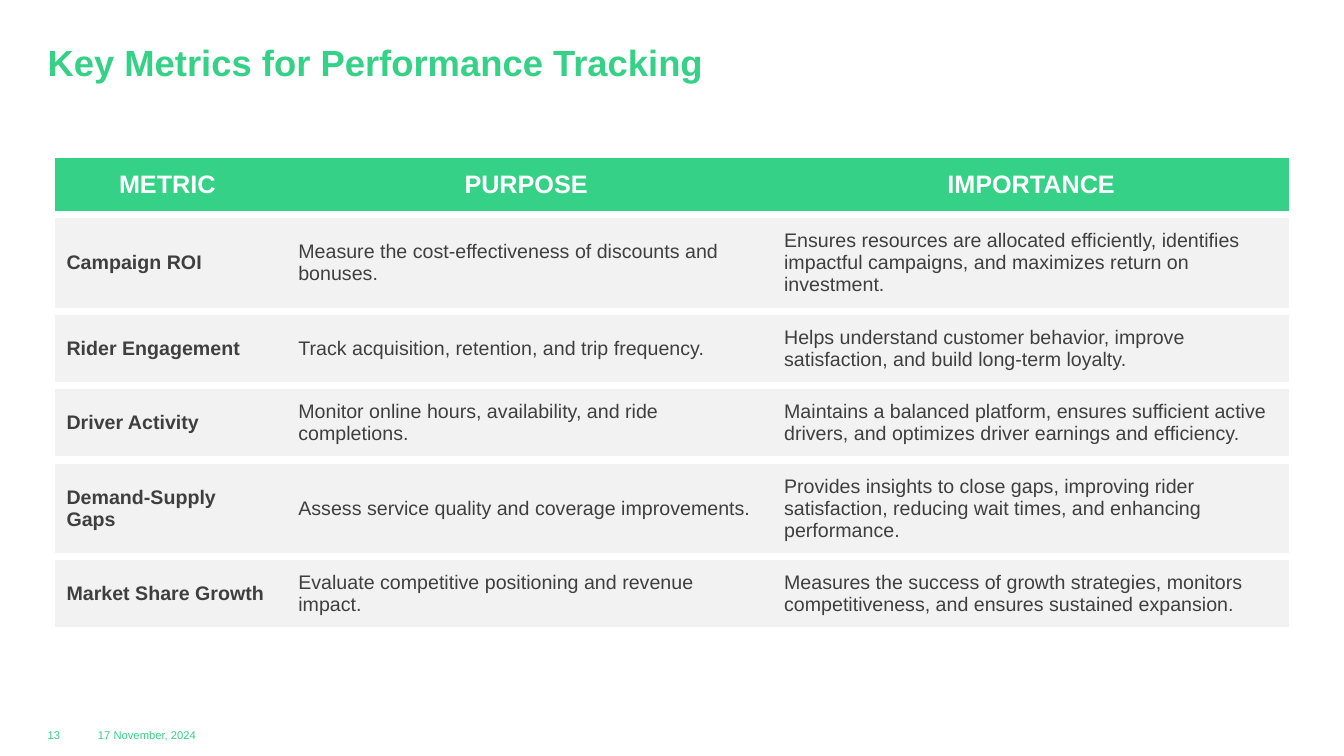
import dataclasses

import lxml.etree
import pptx
import pptx.dml.color
import pptx.enum.text
import pptx.oxml.ns
import pptx.util

Pt = pptx.util.Pt
Align = pptx.enum.text.PP_ALIGN
Anchor = pptx.enum.text.MSO_ANCHOR


@dataclasses.dataclass(frozen=True)
class Theme:
    """Colours, font and type sizes of the slide."""

    green: str = "34D186"
    gray: str = "F2F2F2"
    ink: str = "3F3F3F"
    white: str = "FFFFFF"
    font: str = "Arial"
    title: int = 26
    head: int = 18
    body: int = 14
    small: int = 8


THEME = Theme()
WIDTHS = (165.6, 347, 374.4)
HEIGHTS = (43.2, 69, 53, 53, 69, 53)
GAP = 6
INSET = 10.8
ROWS = (
    ("METRIC", "PURPOSE", "IMPORTANCE"),
    ("Campaign ROI",
     "Measure the cost-effectiveness of discounts and bonuses.",
     "Ensures resources are allocated efficiently, identifies impactful "
     "campaigns, and maximizes return on investment."),
    ("Rider Engagement",
     "Track acquisition, retention, and trip frequency.",
     "Helps understand customer behavior, improve satisfaction, and build "
     "long-term loyalty."),
    ("Driver Activity",
     "Monitor online hours, availability, and ride completions.",
     "Maintains a balanced platform, ensures sufficient active drivers, and "
     "optimizes driver earnings and efficiency."),
    ("Demand-Supply Gaps",
     "Assess service quality and coverage improvements.",
     "Provides insights to close gaps, improving rider satisfaction, reducing "
     "wait times, and enhancing performance."),
    ("Market Share Growth",
     "Evaluate competitive positioning and revenue impact.",
     "Measures the success of growth strategies, monitors competitiveness, "
     "and ensures sustained expansion."),
)


def paint(code):
    """Turn a hex code into a colour."""
    return pptx.dml.color.RGBColor.from_string(code)


def write(frame, text, size, color, bold=False, align=Align.LEFT):
    """Fill a text frame with one styled paragraph."""
    frame.text = text
    frame.word_wrap = True
    para = frame.paragraphs[0]
    para.alignment = align
    font = para.runs[0].font
    font.name, font.size, font.bold = THEME.font, Pt(size), bold
    font.color.rgb = paint(color)
    return para


def clear(frame, anchor):
    """Remove the insets of a frame and anchor its text."""
    frame.margin_left = frame.margin_right = 0
    frame.margin_top = frame.margin_bottom = 0
    frame.vertical_anchor = anchor
    frame.auto_size = pptx.enum.text.MSO_AUTO_SIZE.NONE


def place(shape, box):
    """Move a shape to a box of left, top, width and height."""
    shape.left, shape.top, shape.width, shape.height = map(Pt, box)


def edge(cell, sides):
    """Draw white gaps on the given sides and no line on the others."""
    props = cell._tc.get_or_add_tcPr()
    name = pptx.oxml.ns.qn
    for side in "LRTB":
        line = lxml.etree.SubElement(props, name(f"a:ln{side}"))
        if side in sides:
            line.set("w", str(Pt(GAP)))
            fill = lxml.etree.SubElement(line, name("a:solidFill"))
            tone = lxml.etree.SubElement(fill, name("a:srgbClr"))
            tone.set("val", THEME.white)
        else:
            lxml.etree.SubElement(line, name("a:noFill"))


def add_title(slide, box):
    """Set the slide title in its placeholder."""
    title = slide.shapes.title
    place(title, box)
    clear(title.text_frame, Anchor.TOP)
    para = write(title.text_frame, "Key Metrics for Performance Tracking",
                 THEME.title, THEME.green, True)
    para.line_spacing = 0.83


def add_grid(slide, box):
    """Build the table of metrics."""
    shape = slide.shapes.add_table(len(ROWS), len(WIDTHS), *map(Pt, box))
    table = shape.table
    table.horz_banding = False
    for col, width in zip(table.columns, WIDTHS):
        col.width = Pt(width)
    for row, height in zip(table.rows, HEIGHTS):
        row.height = Pt(height)
    last = len(WIDTHS) - 1
    for r, texts in enumerate(ROWS):
        for c, text in enumerate(texts):
            cell = table.cell(r, c)
            head = r == 0
            edge(cell, "TB" + {0: "L", last: "R"}.get(c, ""))
            cell.fill.solid()
            cell.fill.fore_color.rgb = paint(THEME.green if head else THEME.gray)
            cell.margin_left = cell.margin_right = Pt(INSET)
            cell.margin_top = cell.margin_bottom = Pt(INSET)
            cell.vertical_anchor = Anchor.MIDDLE
            write(cell.text_frame, text,
                  THEME.head if head else THEME.body,
                  THEME.white if head else THEME.ink,
                  head or c == 0, Align.CENTER if head else Align.LEFT)


def add_foot(slide, box):
    """Add the page number and the date."""
    left, top, width, height = box
    for text, shift, span in (("13", 0, 24), ("17 November, 2024", 36, width - 36)):
        label = slide.shapes.add_textbox(*map(Pt, (left + shift, top, span, height)))
        clear(label.text_frame, Anchor.MIDDLE)
        write(label.text_frame, text, THEME.small, THEME.green)


def main():
    """Build and save the slide."""
    deck = pptx.Presentation()
    deck.slide_width, deck.slide_height = Pt(960), Pt(540)
    slide = deck.slides.add_slide(deck.slide_layouts.get_by_name("Title Only"))
    add_title(slide, (34, 34, 892, 37))
    add_grid(slide, (36.7, 110.2, sum(WIDTHS), sum(HEIGHTS)))
    add_foot(slide, (34, 518.4, 132.5, 13))
    deck.save("out.pptx")


if __name__ == "__main__":
    main()
